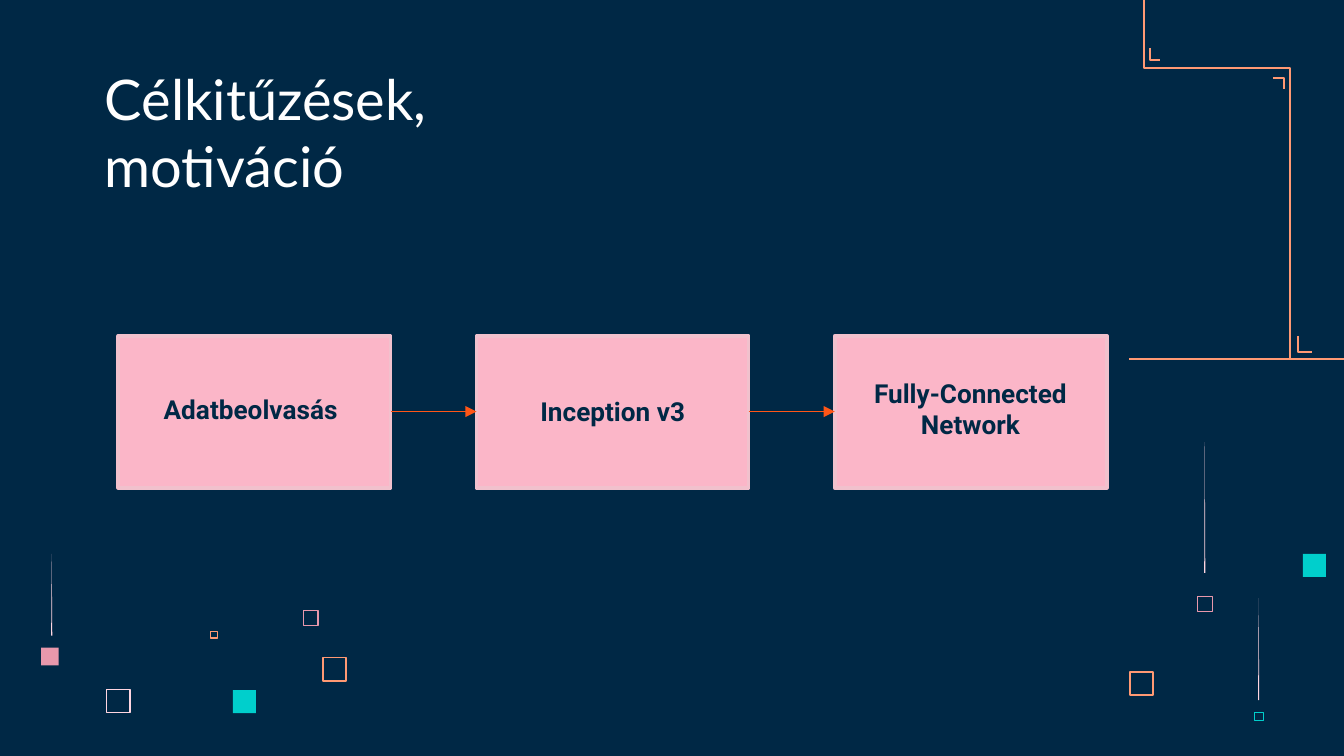
"""Build the goals and motivation slide: three linked boxes on a decorated dark background."""
from typing import NamedTuple, Optional

from lxml.etree import SubElement
from pptx import Presentation
from pptx.dml.color import RGBColor
from pptx.enum.shapes import MSO_CONNECTOR as CONN, MSO_SHAPE as SHAPE
from pptx.enum.text import MSO_ANCHOR as ANCHOR, PP_ALIGN as ALIGN
from pptx.oxml.ns import qn
from pptx.util import Pt

NAVY = RGBColor(0x00, 0x28, 0x45)
WHITE = RGBColor(0xFF, 0xFF, 0xFF)
PINK = RGBColor(0xFB, 0xB6, 0xC8)
PINK_EDGE = RGBColor(0xF1, 0xC1, 0xCD)
BLUSH = RGBColor(0xFF, 0xD6, 0xE1)
ROSE = RGBColor(0xE8, 0x98, 0xAC)
PEACH = RGBColor(0xFF, 0x99, 0x73)
TEAL = RGBColor(0x00, 0xCF, 0xCC)
ORANGE = RGBColor(0xFF, 0x56, 0x17)


class Square(NamedTuple):
    x: float
    y: float
    side: float
    color: RGBColor
    line: Optional[float] = None


class Streak(NamedTuple):
    x: float
    top: float
    bottom: float


class Label(NamedTuple):
    text: str
    x: float
    y: float
    w: float
    h: float
    align: ALIGN = ALIGN.CENTER


SQUARES = [
    Square(57.2, 369.4, 12.4, BLUSH, 0.75),
    Square(162.6, 327.2, 7.8, ROSE, 0.75),
    Square(112.9, 338.4, 3.5, PEACH, 0.75),
    Square(173, 352.4, 12.4, PEACH, 0.75),
    Square(605.4, 360, 12.4, PEACH, 0.75),
    Square(641.5, 319.5, 7.9, ROSE, 0.23),
    Square(672, 381.6, 4.5, TEAL, 0.23),
    Square(22, 347, 9.5, ROSE),
    Square(124.8, 369.8, 12.3, TEAL),
    Square(698, 296.8, 12.3, TEAL),
]
STREAKS = [
    Streak(645.1, 236.9, 306.9),
    Streak(27.4, 296.8, 340.6),
    Streak(674, 320.4, 375.1),
]
TRACES = [
    [(605, 192.3), (720, 192.3)],
    [(612.9, 0), (612.9, 36.4), (691, 36.4), (691, 192.3)],
    [(695.4, 180), (695.4, 188.4), (703, 188.4)],
    [(682, 41.7), (687.9, 41.7), (687.9, 47.8)],
    [(616, 25.7), (616, 32.1), (621.7, 32.1)],
]
LABELS = [
    Label("Adatbeolvasás", 80.6, 207.4, 115.2, 24.5, ALIGN.LEFT),
    Label("Inception v3", 272.9, 208.1, 110.9, 24.5),
    Label("Fully-Connected Network", 455.8, 198.7, 128.2, 41),
]
BOX_X, BOX_Y, BOX_W, BOX_H, PITCH = 63.4, 180, 145.8, 81.4, 191.9
ARROW_Y = 220.5


def add_rect(s, x: float, y: float, w: float, h: float, *, fill: Optional[RGBColor] = None,
             line: Optional[RGBColor] = None, width: float = 0.75) -> None:
    sp = s.shapes.add_shape(SHAPE.RECTANGLE, Pt(x), Pt(y), Pt(w), Pt(h))
    sp.shadow.inherit = False
    if fill is None:
        sp.fill.background()
    else:
        sp.fill.solid()
        sp.fill.fore_color.rgb = fill
    if line is None:
        sp.line.fill.background()
    else:
        sp.line.color.rgb = line
        sp.line.width = Pt(width)


def add_square(s, sq: Square) -> None:
    if sq.line is None:
        add_rect(s, sq.x, sq.y, sq.side, sq.side, fill=sq.color)
    else:
        add_rect(s, sq.x, sq.y, sq.side, sq.side, line=sq.color, width=sq.line)


def add_path(s, points: list, *, close: bool = False):
    (x, y), *rest = [(Pt(px), Pt(py)) for px, py in points]
    builder = s.shapes.build_freeform(x, y)
    builder.add_line_segments(rest, close=close)
    sp = builder.convert_to_shape()
    sp.shadow.inherit = False
    return sp


def add_streak(s, streak: Streak) -> None:
    x, top, bottom = streak
    sp = add_path(s, [(x + 0.3, top), (x, bottom), (x + 0.6, bottom)], close=True)
    sp.fill.solid()
    sp.fill.fore_color.rgb = BLUSH
    sp.line.fill.background()


def add_trace(s, points: list) -> None:
    sp = add_path(s, points)
    sp.fill.background()
    sp.line.color.rgb = PEACH
    sp.line.width = Pt(1.1)


def add_arrow(s, x1: float, x2: float, y: float) -> None:
    sp = s.shapes.add_connector(CONN.STRAIGHT, Pt(x1), Pt(y), Pt(x2), Pt(y))
    sp.line.color.rgb = ORANGE
    sp.line.width = Pt(0.75)
    SubElement(sp.line._get_or_add_ln(), qn("a:tailEnd"), type="triangle")
    SubElement(sp._element.spPr, qn("a:effectLst"))


def add_text(s, text: str, x: float, y: float, w: float, h: float, *, font: str, size: float,
             color: RGBColor, bold: bool = False, align: ALIGN = ALIGN.LEFT,
             anchor: ANCHOR = ANCHOR.TOP, inset: float = 3.6) -> None:
    tf = s.shapes.add_textbox(Pt(x), Pt(y), Pt(w), Pt(h)).text_frame
    tf.word_wrap = True
    tf.vertical_anchor = anchor
    tf.margin_left = tf.margin_right = Pt(7.2)
    tf.margin_top = tf.margin_bottom = Pt(inset)
    p = tf.paragraphs[0]
    p.alignment = align
    r = p.add_run()
    r.text = text
    r.font.name = font
    r.font.size = Pt(size)
    r.font.bold = bold
    r.font.color.rgb = color


def main() -> None:
    prs = Presentation()
    prs.slide_width, prs.slide_height = Pt(720), Pt(405)
    s = prs.slides.add_slide(prs.slide_layouts[6])
    s.background.fill.solid()
    s.background.fill.fore_color.rgb = NAVY
    for sq in SQUARES:
        add_square(s, sq)
    for streak in STREAKS:
        add_streak(s, streak)
    add_text(s, "Célkitűzések, motiváció", 49, 32.4, 270, 81.4, font="Lato", size=30,
             color=WHITE, anchor=ANCHOR.BOTTOM, inset=7.2)
    for points in TRACES:
        add_trace(s, points)
    for i, label in enumerate(LABELS):
        x = BOX_X + i * PITCH
        add_rect(s, x, BOX_Y, BOX_W, BOX_H, fill=PINK, line=PINK_EDGE, width=2)
        add_text(s, label.text, label.x, label.y, label.w, label.h, font="Roboto", size=14,
                 color=NAVY, bold=True, align=label.align)
    for i in range(len(LABELS) - 1):
        x = BOX_X + i * PITCH
        add_arrow(s, x + BOX_W, x + PITCH, ARROW_Y)
    prs.save("out.pptx")


if __name__ == "__main__":
    main()
